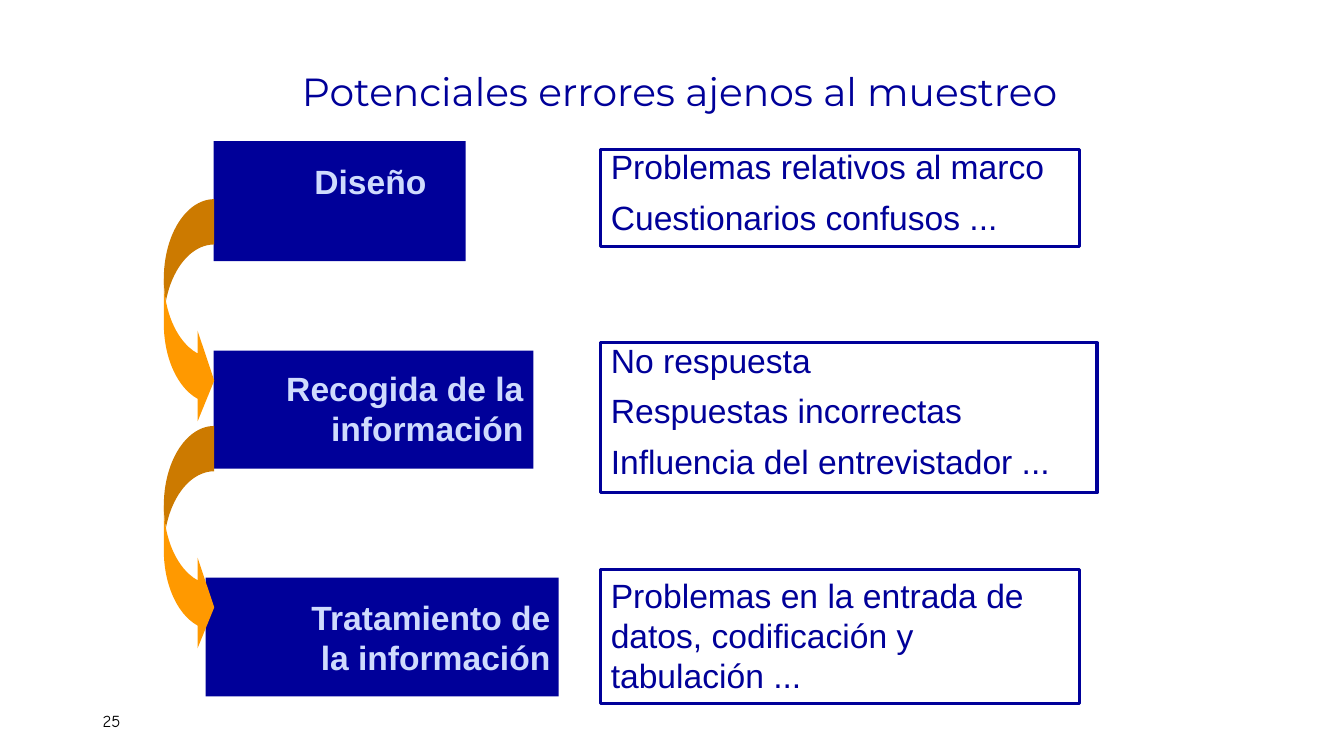
import pptx
import pptx.dml.color
import pptx.enum.shapes
import pptx.enum.text
import pptx.util

NAVY = pptx.dml.color.RGBColor(0x00, 0x00, 0x99)
PALE_BLUE = pptx.dml.color.RGBColor(0xCF, 0xDB, 0xFD)
ORANGE = pptx.dml.color.RGBColor(0xFF, 0x99, 0x00)
BLACK = pptx.dml.color.RGBColor(0x00, 0x00, 0x00)

ALIGN = pptx.enum.text.PP_ALIGN
ANCHOR = pptx.enum.text.MSO_ANCHOR
SHAPE = pptx.enum.shapes.MSO_SHAPE

EMU_PER_PX = 9144  # 100 px to the inch
SLIDE_SIZE = (1333, 750)
PROBLEMS_LEFT = 596
ARROW_LEFT = 75
ARROW_SIZE = (225, 50)
ARROW_TOPS = (285, 510)

# Box, insets (left, top, right, bottom), vertical anchor and lines
STAGES = [
    ((212, 140, 250, 119), (39, 20, 39, 20), ANCHOR.TOP, ["Diseño"]),
    ((212, 348, 317, 117), (10, 17, 10, 17), ANCHOR.TOP,
     ["Recogida de la información"]),
    ((204, 573, 350, 118), (0, 16, 8, 16), ANCHOR.MIDDLE,
     ["Tratamiento de", "la información"]),
]

# Top, width, height, line spacing and lines
PROBLEMS = [
    (148, 475, 97, 0.8,
     ["Problemas relativos al marco", "Cuestionarios confusos ..."]),
    (340, 492, 149, 0.8,
     ["No respuesta", "Respuestas incorrectas",
      "Influencia del entrevistador ..."]),
    (565, 475, 133, 1.0,
     ["Problemas en la entrada de datos, codificación y tabulación ..."]),
]


def px(*lengths):
    """Turn px lengths into a list of EMU lengths."""
    return [pptx.util.Emu(length * EMU_PER_PX) for length in lengths]


class SlideBuilder:
    """Holds the text style and the slide being built."""

    font_name = "Arial"
    font_size = 24
    paragraph_gap = 13

    def __init__(self, presentation):
        self.slide = presentation.slides.add_slide(presentation.slide_layouts[6])

    def fill_text(self, shape, lines, color, align=ALIGN.LEFT, anchor=ANCHOR.TOP,
                  insets=(10, 5, 10, 5), spacing=1.0, bold=False,
                  font_name=font_name, font_size=font_size):
        frame = shape.text_frame
        frame.word_wrap = True
        frame.vertical_anchor = anchor
        (frame.margin_left, frame.margin_top,
         frame.margin_right, frame.margin_bottom) = px(*insets)
        frame.text = "\n".join(lines)
        for index, paragraph in enumerate(frame.paragraphs):
            paragraph.alignment = align
            paragraph.line_spacing = spacing
            if index and spacing < 1:
                paragraph.space_before = pptx.util.Pt(self.paragraph_gap)
            for run in paragraph.runs:
                run.font.name = font_name
                run.font.size = pptx.util.Pt(font_size)
                run.font.bold = bold
                run.font.color.rgb = color

    def add_label(self, box, text, color, **style):
        label = self.slide.shapes.add_textbox(*px(*box))
        self.fill_text(label, [text], color, **style)

    def add_filled_shape(self, kind, box, color):
        shape = self.slide.shapes.add_shape(kind, *px(*box))
        shape.shadow.inherit = False
        shape.fill.solid()
        shape.fill.fore_color.rgb = color
        shape.line.fill.background()
        return shape

    def add_stage(self, box, insets, anchor, lines):
        stage = self.add_filled_shape(SHAPE.RECTANGLE, box, NAVY)
        self.fill_text(stage, lines, PALE_BLUE, align=ALIGN.RIGHT, anchor=anchor,
                       insets=insets, bold=True)

    def add_problems(self, top, width, height, spacing, lines):
        frame = self.slide.shapes.add_shape(
            SHAPE.RECTANGLE, *px(PROBLEMS_LEFT, top, width, height))
        frame.shadow.inherit = False
        frame.fill.background()
        frame.line.color.rgb = NAVY
        frame.line.width = pptx.util.Pt(2.25)
        self.fill_text(frame, lines, NAVY, spacing=spacing)

    def add_stage_arrow(self, top):
        """Add a curved arrow that bulges left and points at the next stage."""
        arrow = self.add_filled_shape(
            SHAPE.CURVED_DOWN_ARROW, (ARROW_LEFT, top, *ARROW_SIZE), ORANGE)
        for index, value in enumerate((0.9, 1.8, 0.33)):
            arrow.adjustments[index] = value
        arrow.rotation = 90
        arrow.element.spPr.xfrm.set("flipV", "1")


def main():
    presentation = pptx.Presentation()
    presentation.slide_width, presentation.slide_height = px(*SLIDE_SIZE)
    builder = SlideBuilder(presentation)
    builder.add_label((249, 68, 850, 50), "Potenciales errores ajenos al muestreo",
                      NAVY, align=ALIGN.CENTER, anchor=ANCHOR.BOTTOM,
                      font_name="Montserrat", font_size=28)
    for stage in STAGES:
        builder.add_stage(*stage)
    for problems in PROBLEMS:
        builder.add_problems(*problems)
    for top in ARROW_TOPS:
        builder.add_stage_arrow(top)
    builder.add_label((92, 695, 300, 40), "25", BLACK, anchor=ANCHOR.MIDDLE,
                      font_name="Comic Neue", font_size=12)
    presentation.save("out.pptx")


if __name__ == "__main__":
    main()
